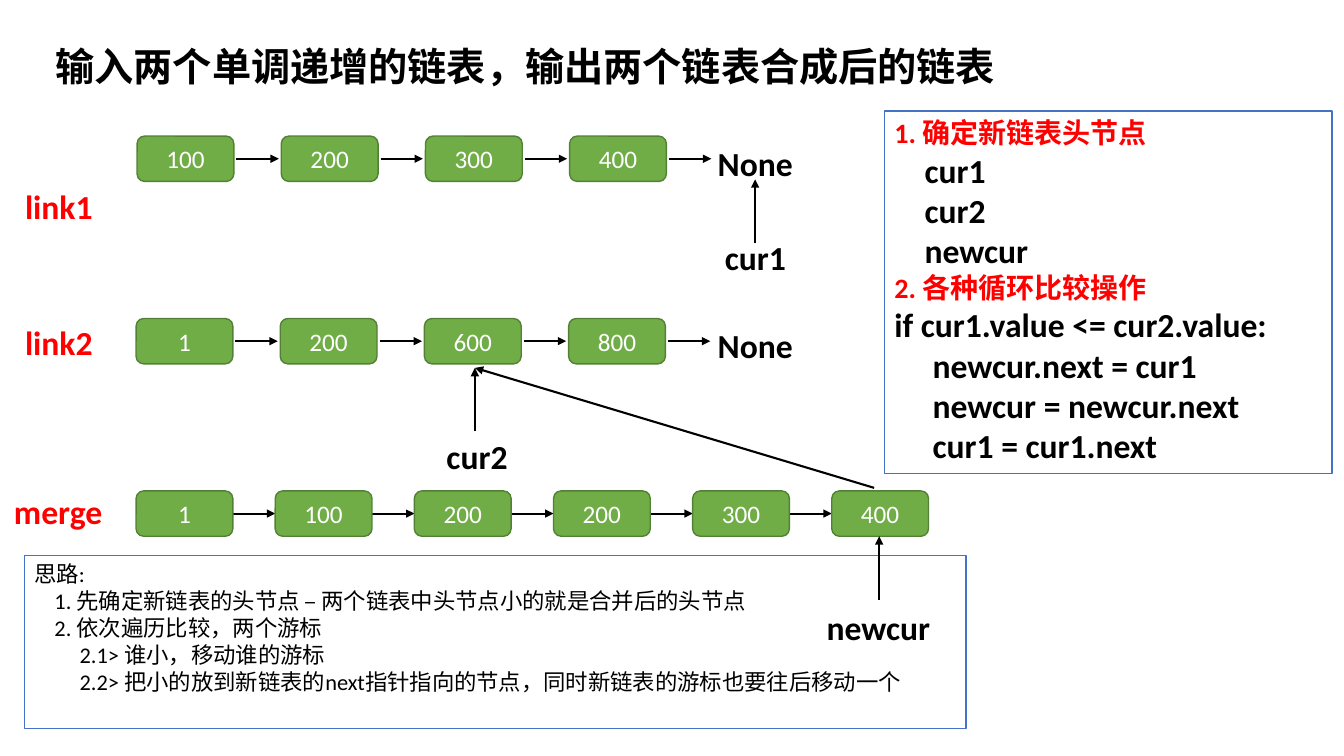
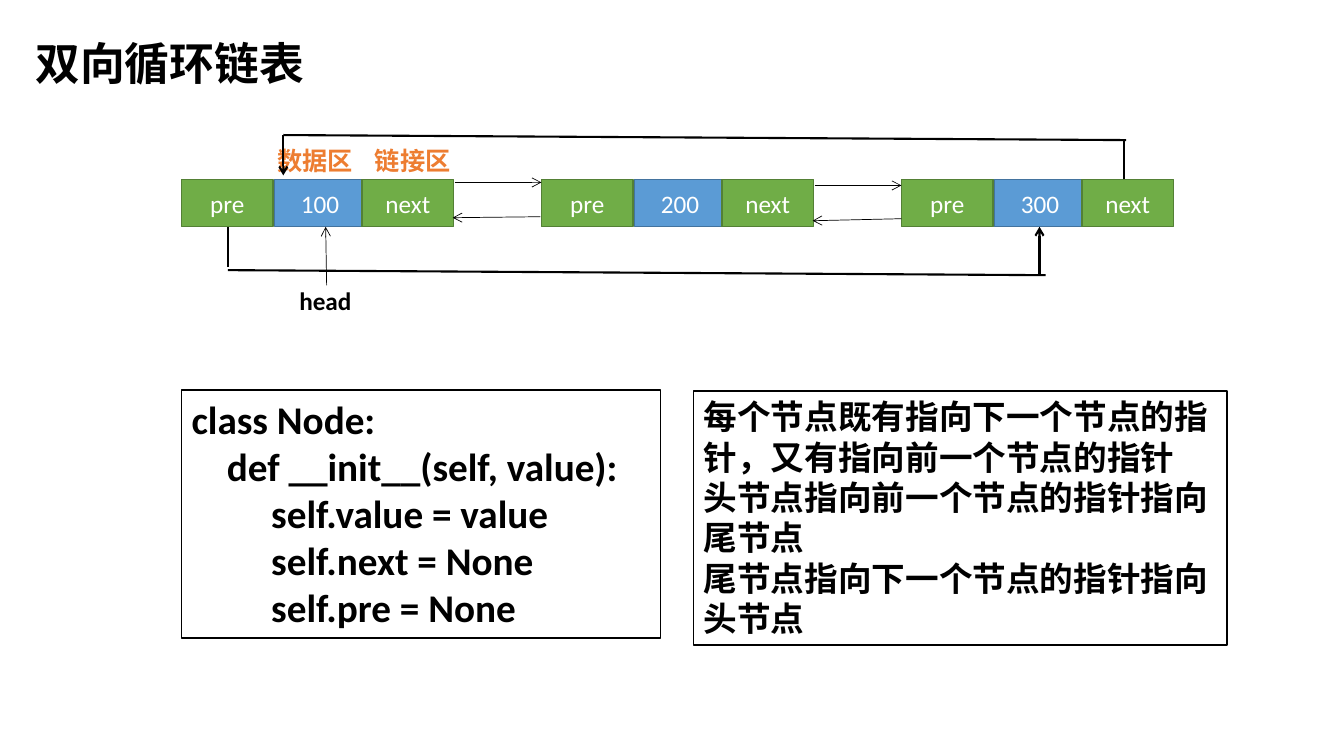
from lxml import etree
from pptx import Presentation
from pptx.dml.color import RGBColor as Color
from pptx.enum.shapes import MSO_CONNECTOR as Connector, MSO_SHAPE as Shape
from pptx.enum.text import MSO_ANCHOR as Anchor, MSO_AUTO_SIZE as AutoSize, PP_ALIGN as Align
from pptx.oxml.ns import qn
from pptx.util import Inches, Pt

# Theme: colours, text formats and box formats
COLORS = {name: Color.from_string(value) for name, value in dict(
    black="000000", white="FFFFFF", red="FF0000", orange="ED7D31", frame="4472C4",
    green="70AD47", green_edge="538035", blue="5B9BD5", blue_edge="43739E").items()}
TEXT = {  # size, bold, colour
    "title": (28, True, "black"), "big_title": (32, True, "black"),
    "node": (18, False, "white"), "idea": (16, False, "black"),
    "step": (20, True, "red"), "code": (24, True, "black"),
    "big_code": (28, True, "black"), "list_name": (24, True, "red"),
    "small_label": (18, True, "black"), "area": (18, True, "orange")}
FONT = "Calibri"
THICK, THIN = 1.5, 0.5

# Grid: square cells, 133.33 columns by 75 rows
CELL = Inches(0.1)
presentation = Presentation()
presentation.slide_width, presentation.slide_height = Inches(13.33), Inches(7.5)


def put_text(shape, lines, align=Align.LEFT, **frame_format):
    """Fill a shape with lines of (text, format name, indent in columns)."""
    frame = shape.text_frame
    for name, value in frame_format.items():
        setattr(frame, name, value)
    for number, (text, style, indent) in enumerate(lines):
        paragraph = frame.add_paragraph() if number else frame.paragraphs[0]
        paragraph.alignment, paragraph.space_before = align, Pt(0)
        properties = paragraph._p.get_or_add_pPr()
        properties.set("marL", str(int(indent * CELL)))
        properties.set("indent", "0")
        etree.SubElement(properties, qn("a:buNone"))
        run = paragraph.add_run()
        run.text = text
        size, bold, color = TEXT[style]
        for name, value in dict(name=FONT, size=Pt(size), bold=bold).items():
            setattr(run.font, name, value)
        run.font.color.rgb = COLORS[color]


def add_line(slide, start, end, width=THICK, head=None):
    """Draw a straight line, with an arrowhead at its end if one is named."""
    line = slide.shapes.add_connector(
        Connector.STRAIGHT, *(int(value * CELL) for value in (*start, *end)))
    line.line.color.rgb, line.line.width = COLORS["black"], Pt(width)
    if head:
        etree.SubElement(line.line._get_or_add_ln(), qn("a:tailEnd"), type=head)
    etree.SubElement(line._element.spPr, qn("a:effectLst"))


# Titles and framed lists of both slides
pages = [
    dict(title=("输入两个单调递增的链表，输出两个链表合成后的链表", "title"),
         title_at=(4.5, 3.7, 96.5, 5.7), frame="frame",
         bodies=[
             ((2.4, 55.1, 93.4, 17.2), [
                 ("思路:", "idea", 0),
                 ("1. 先确定新链表的头节点 – 两个链表中头节点小的就是合并后的头节点", "idea", 2),
                 ("2. 依次遍历比较，两个游标", "idea", 2),
                 ("2.1> 谁小，移动谁的游标", "idea", 4.5),
                 ("2.2> 把小的放到新链表的next指针指向的节点，同时新链表的游标也要往后移动一个",
                  "idea", 4.5)]),
             ((87.7, 11, 44.4, 36), [
                 ("1. 确定新链表头节点", "step", 0),
                 ("cur1", "code", 3),
                 ("cur2", "code", 3),
                 ("newcur", "code", 3),
                 ("2. 各种循环比较操作", "step", 0),
                 ("if cur1.value <= cur2.value:", "code", 0),
                 ("newcur.next = cur1", "code", 3.8),
                 ("newcur = newcur.next", "code", 3.8),
                 ("cur1 = cur1.next", "code", 3.8)])],
         labels=[("link1", "list_name", (1.5, 18, 8.7, 5)),
                 ("link2", "list_name", (1.5, 31.4, 8.7, 5)),
                 ("merge", "list_name", (0.4, 48.2, 10.8, 5)),
                 ("None", "code", (70.2, 13.7, 9.5, 5)),
                 ("None", "code", (70.2, 31.7, 9.5, 5)),
                 ("cur1", "code", (70.9, 23, 8.1, 5)),
                 ("cur2", "code", (43.3, 42.8, 8.1, 5)),
                 ("newcur", "code", (81, 59.7, 12.3, 5))]),
    dict(title=("双向循环链表", "big_title"),
         title_at=(2.5, 3, 29.1, 6.4), frame="black",
         bodies=[
             ((18, 38.7, 47.5, 24.6), [
                 ("class Node:", "big_code", 0),
                 ("def __init__(self, value):", "big_code", 3.5),
                 ("self.value = value", "big_code", 7.9),
                 ("self.next = None", "big_code", 7.9),
                 ("self.pre = None", "big_code", 7.9)]),
             ((68.8, 38.8, 52.9, 25.2), [
                 ("每个节点既有指向下一个节点的指针，又有指向前一个节点的指针", "code", 0),
                 ("头节点指向前一个节点的指针指向尾节点", "code", 0),
                 ("尾节点指向下一个节点的指针指向头节点", "code", 0)])],
         labels=[("数据区", "area", (26.5, 13.9, 9.5, 4)),
                 ("链接区", "area", (36.2, 13.9, 9.5, 4)),
                 ("head", "small_label", (28.7, 27.8, 7.2, 4))]),
]

slides = []
for page in pages:
    slide = presentation.slides.add_slide(presentation.slide_layouts[3])
    slides.append(slide)
    title, *bodies = slide.placeholders
    placed = [(title, page["title_at"], [(*page["title"], 0)], Anchor.MIDDLE)]
    placed += [(body, at, lines, Anchor.TOP)
               for body, (at, lines) in zip(bodies, page["bodies"])]
    for shape, at, lines, anchor in placed:
        for name, value in zip(("left", "top", "width", "height"), at):
            setattr(shape, name, int(value * CELL))
        put_text(shape, lines, vertical_anchor=anchor, word_wrap=True,
                 auto_size=AutoSize.NONE)
    for body in bodies:
        body.fill.solid()
        body.fill.fore_color.rgb = COLORS["white"]
        body.line.color.rgb, body.line.width = COLORS[page["frame"]], Pt(1)
merge_slide, circle_slide = slides

# Nodes of the three single lists and of the doubly linked list
NODE_WIDTH, NODE_HEIGHT, ARROW = 9.6, 4.5, 4.2
rows = [  # left, top, pitch, values, whether an arrow leaves the last node
    (13.6, 13.5, 14.3, (100, 200, 300, 400), True),
    (13.5, 31.6, 14.3, (1, 200, 600, 800), True),
    (13.5, 48.7, 13.8, (1, 100, 200, 200, 300, 400), False)]
nodes = []
for left, top, pitch, values, ends_in_none in rows:
    for column, value in enumerate(values):
        x = left + column * pitch
        nodes.append((merge_slide, Shape.ROUNDED_RECTANGLE, str(value), "green",
                      (x, top, NODE_WIDTH, NODE_HEIGHT)))
        if ends_in_none or column < len(values) - 1:
            start = x + NODE_WIDTH + (pitch - NODE_WIDTH - ARROW) / 2
            middle = top + NODE_HEIGHT / 2
            add_line(merge_slide, (start, middle), (start + ARROW, middle), head="triangle")

PART_WIDTH, PART_HEIGHT, PART_TOP = 9.1, 4.7, 17.8
for column, value in enumerate((100, 200, 300)):
    x = 18 + column * 35.7
    for offset, text, color in ((9.2, str(value), "blue"), (17.9, "next", "green"),
                                (0, "pre", "green")):
        nodes.append((circle_slide, Shape.RECTANGLE, text, color,
                      (x + offset, PART_TOP, PART_WIDTH, PART_HEIGHT)))

for slide, kind, text, color, at in nodes:
    node = slide.shapes.add_shape(kind, *(int(value * CELL) for value in at))
    node.shadow.inherit = False
    node.fill.solid()
    node.fill.fore_color.rgb = COLORS[color]
    node.line.color.rgb, node.line.width = COLORS[color + "_edge"], Pt(1)
    put_text(node, [(text, "node", 0)], Align.CENTER, vertical_anchor=Anchor.MIDDLE)

# Labels
for slide, page in zip(slides, pages):
    for text, style, at in page["labels"]:
        label = slide.shapes.add_textbox(*(int(value * CELL) for value in at))
        put_text(label, [(text, style, 0)], word_wrap=False,
                 auto_size=AutoSize.SHAPE_TO_FIT_TEXT)

# Cursors of the merge
for start, end in (((74.9, 24.1), (74.9, 17.8)), ((47.1, 42.8), (47.1, 36.5)),
                   ((87.2, 59.5), (87.2, 53.2)), ((86.7, 48.4), (47.1, 36.5))):
    add_line(merge_slide, start, end, head="triangle")

# Links between neighbours, then the head pointer
for start, end in (((45.1, 18.1), (53.7, 18.1)), ((80.8, 18.4), (89.4, 18.4)),
                   ((89.4, 21.7), (80.6, 21.9)), ((53.6, 21.5), (44.9, 21.6)),
                   ((32.4, 28.3), (32.3, 22.5))):
    add_line(circle_slide, start, end, THIN, "arrow")

# Links that close the circle above and below
for start, end, head in (((111.5, 17.8), (111.5, 13.8), None),
                         ((28.1, 13.4), (111.7, 13.9), None),
                         ((28.1, 13.4), (28.1, 17.4), "arrow"),
                         ((22.6, 26.5), (22.6, 22.5), None),
                         ((22.6, 26.8), (103.7, 27.3), None),
                         ((103.1, 27.3), (103.1, 22.5), "arrow")):
    add_line(circle_slide, start, end, THICK, head)

presentation.save("out.pptx")
